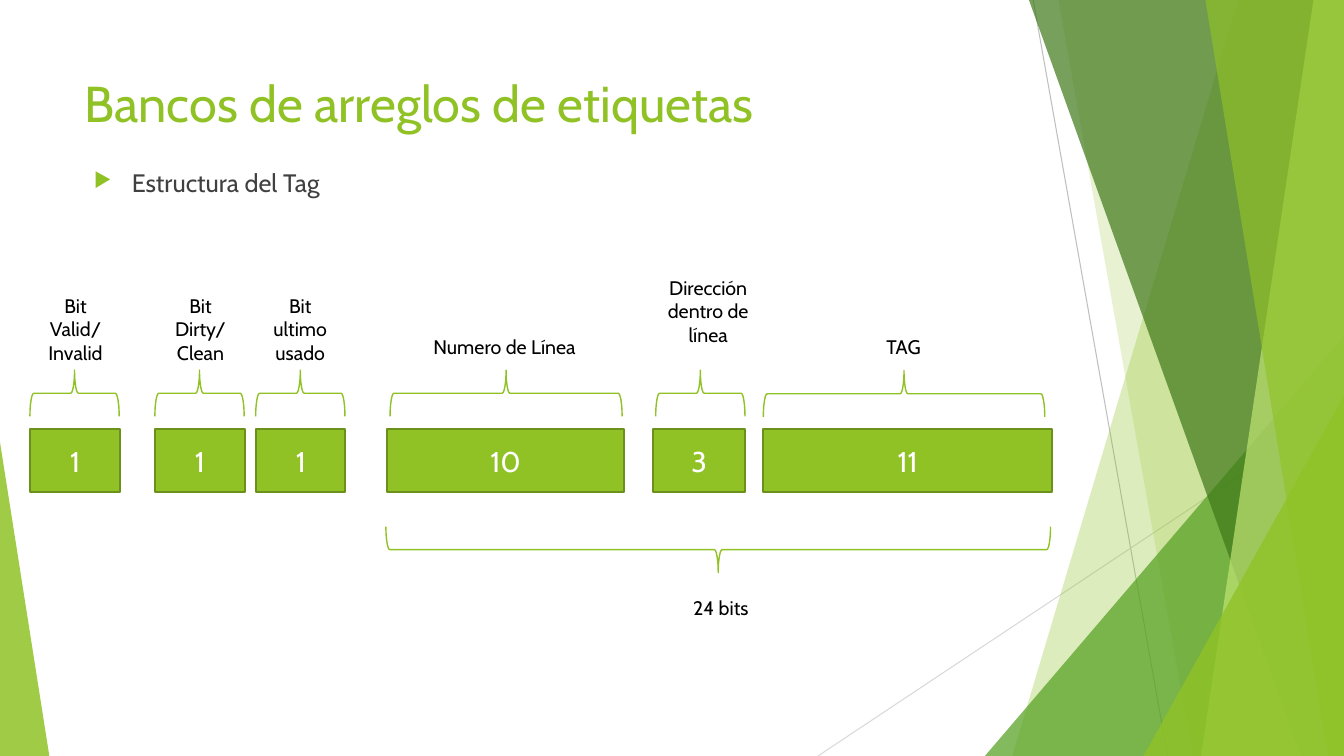
from lxml import etree
from pptx import Presentation
from pptx.dml.color import RGBColor
from pptx.enum.shapes import MSO_CONNECTOR, MSO_SHAPE
from pptx.enum.text import MSO_ANCHOR, PP_ALIGN
from pptx.oxml.ns import qn
from pptx.util import Emu, Pt

PX = 9525  # EMU per px, 96 px to the inch
WIDTH, HEIGHT = 1280, 720
GREEN, DARK_GREEN = "90C226", "6B901C"


def color(hex_string):
    return RGBColor.from_string(hex_string)


def px(*lengths):
    return [Emu(length * PX) for length in lengths]


def write(shape, text, size=14, ink="000000", align=PP_ALIGN.CENTER,
          anchor=MSO_ANCHOR.TOP, font="Cabin"):
    frame = shape.text_frame
    frame.word_wrap = True
    frame.vertical_anchor = anchor
    frame.text = text
    for paragraph in frame.paragraphs:
        paragraph.alignment = align
        for run in paragraph.runs:
            run.font.name = font
            run.font.size = Pt(size)
            run.font.color.rgb = color(ink)
    return shape


class TagSlide:
    """Holds the style and the slide being drawn."""

    def __init__(self, presentation):
        self.slide = presentation.slides.add_slide(presentation.slide_layouts[6])
        self.shapes = self.slide.shapes

    def paint(self, shape, fill=None, opacity=100, line=None, width=1):
        shape.shadow.inherit = False
        if fill:
            shape.fill.solid()
            shape.fill.fore_color.rgb = color(fill)
            if opacity < 100:
                node = shape.fill._xPr.find(qn("a:solidFill"))[0]
                etree.SubElement(node, qn("a:alpha"), val=str(opacity * 1000))
        else:
            shape.fill.background()
        if line:
            shape.line.color.rgb = color(line)
            shape.line.width = Pt(width)
        else:
            shape.line.fill.background()
        return shape

    def ray(self, x1, y1, x2, y2, ink):
        ray = self.shapes.add_connector(MSO_CONNECTOR.STRAIGHT, *px(x1, y1, x2, y2))
        ray.line.color.rgb = color(ink)
        ray.line.width = Pt(0.75)
        etree.SubElement(ray._element.spPr, qn("a:effectLst"))

    def wedge(self, top_x, bottom_x, fill, opacity):
        builder = self.shapes.build_freeform(top_x, 0, scale=PX)
        builder.add_line_segments([(WIDTH, 0), (WIDTH, HEIGHT), (bottom_x, HEIGHT)])
        self.paint(builder.convert_to_shape(), fill, opacity)

    def triangle(self, left, top, width, apex, fill, opacity):
        shape = self.shapes.add_shape(MSO_SHAPE.ISOSCELES_TRIANGLE,
                                      *px(left, top, width, HEIGHT - top))
        shape.adjustments[0] = apex
        self.paint(shape, fill, opacity)

    def text(self, text, left, top, width, height, **style):
        return write(self.shapes.add_textbox(*px(left, top, width, height)), text, **style)

    def bullet(self, text, left, top, width, height, **style):
        box = self.text(text, left, top, width, height, align=PP_ALIGN.LEFT, **style)
        properties = box.text_frame.paragraphs[0]._p.get_or_add_pPr()
        properties.set("marL", str(36 * PX))
        properties.set("indent", str(-36 * PX))
        ink = etree.SubElement(properties, qn("a:buClr"))
        etree.SubElement(ink, qn("a:srgbClr"), val=GREEN)
        etree.SubElement(properties, qn("a:buSzPct"), val="80000")
        etree.SubElement(properties, qn("a:buChar"), char="▶")

    def field(self, bits, left, width):
        shape = self.shapes.add_shape(MSO_SHAPE.RECTANGLE, *px(left, 409, width, 60))
        self.paint(shape, GREEN, line=DARK_GREEN, width=1.5)
        write(shape, bits, size=20.4, ink="FFFFFF", anchor=MSO_ANCHOR.MIDDLE)

    def brace(self, left, top, span, rotation, depth=44):
        # The box is upright before its quarter turn about the centre
        shift = (span - depth) / 2
        shape = self.shapes.add_shape(
            MSO_SHAPE.RIGHT_BRACE,
            *px(*(int(value) for value in (left + shift, top - shift, depth, span))))
        shape.rotation = rotation
        self.paint(shape, line=GREEN)


def main():
    presentation = Presentation()
    presentation.slide_width, presentation.slide_height = px(WIDTH, HEIGHT)
    tag = TagSlide(presentation)

    # Background facets
    tag.ray(984, 0, 1112, HEIGHT, "BFBFBF")
    tag.ray(WIDTH, 387, 779, HEIGHT, "D9D9D9")
    tag.wedge(1179, 964, GREEN, 30)
    tag.wedge(1008, 1136, GREEN, 20)
    tag.triangle(938, 320, 342, 1, "54A021", 72)
    tag.wedge(980, 1239, "3F7819", 70)
    tag.wedge(1251, 1144, "C0E474", 70)
    tag.wedge(1148, 1265, GREEN, 65)
    tag.triangle(1089, 377, 191, 1, GREEN, 80)
    tag.triangle(0, 421, 47, 0, GREEN, 85)

    # Title and bullet
    tag.text("Bancos de arreglos de etiquetas", 71, 64, 902, 138,
             size=36, ink=GREEN, align=PP_ALIGN.LEFT)
    tag.bullet("Estructura del Tag", 80, 155, 902, 48, size=18, ink="404040")

    # Tag fields: bits, box (left, width), brace (left, span), label and its box
    fields = [
        ("1", (29, 85), (29, 85), "Bit Valid/\nInvalid", (26, 275, 92, 78)),
        ("1", (148, 85), (148, 85), "Bit Dirty/\nClean", (145, 275, 92, 78)),
        ("1", (244, 85), (244, 85), "Bit ultimo usado", (240, 275, 92, 78)),
        ("10", (369, 225), (372, 221), "Numero de Línea", (388, 314, 185, 33)),
        ("3", (622, 88), (625, 85), "Dirección dentro de línea", (625, 258, 99, 78)),
        ("11", (727, 275), (727, 268), "TAG", (811, 314, 99, 33)),
    ]
    for bits, box, (brace_left, span), label, label_box in fields:
        tag.field(bits, *box)
        tag.brace(brace_left, 353, span, 270)
        tag.text(label, *label_box)

    # Total width
    tag.brace(368, 502, 633, 90)
    tag.text("24 bits", 594, 563, 185, 33)

    presentation.save("out.pptx")


if __name__ == "__main__":
    main()
